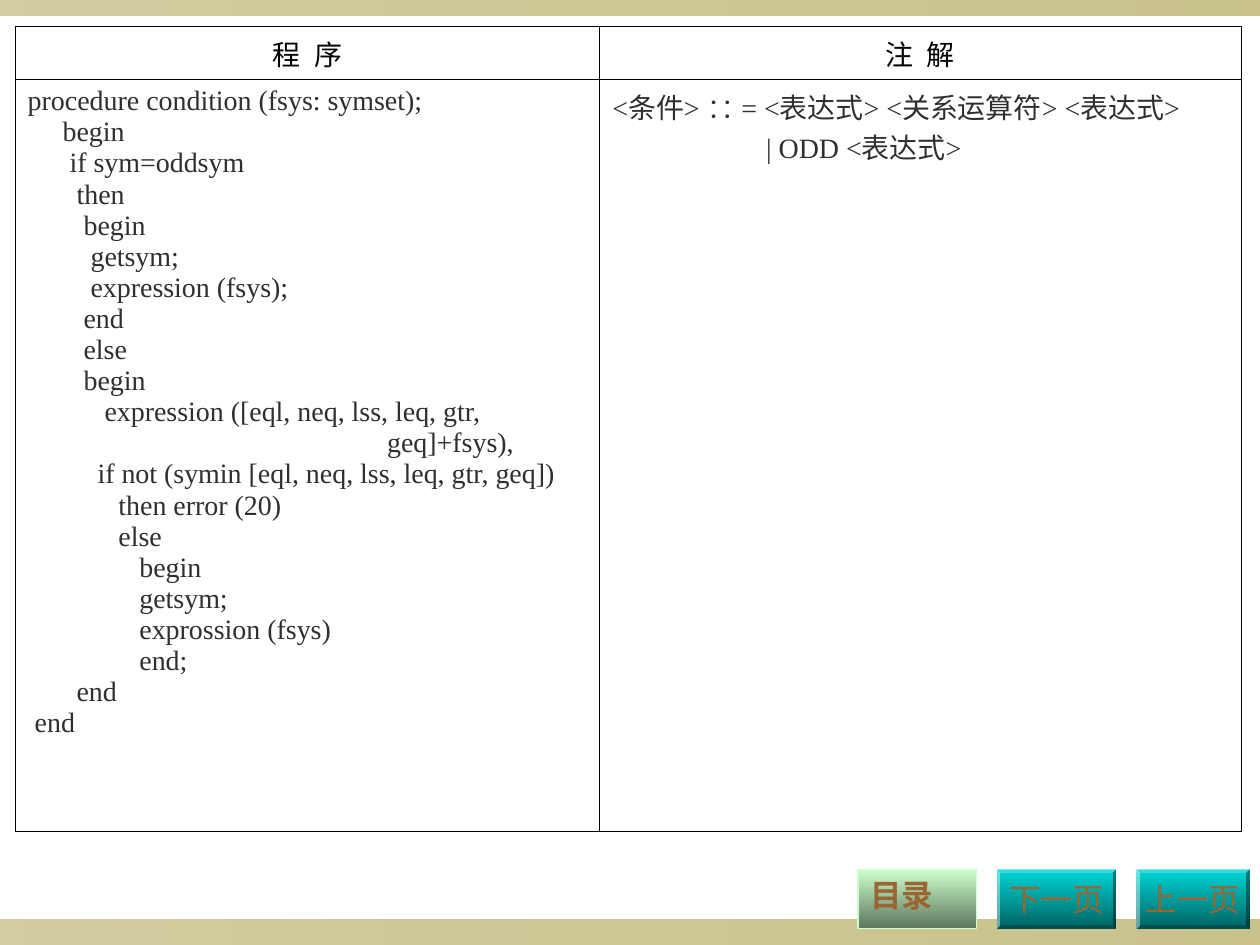
from typing import NamedTuple

from lxml import etree
from pptx import Presentation
from pptx.dml.color import RGBColor
from pptx.enum.shapes import MSO_SHAPE
from pptx.enum.text import MSO_ANCHOR, PP_ALIGN
from pptx.oxml.ns import qn
from pptx.util import Inches, Pt

RECT, BEVEL = MSO_SHAPE.RECTANGLE, MSO_SHAPE.BEVEL
LEFT, CENTER = PP_ALIGN.LEFT, PP_ALIGN.CENTER
TOP, MIDDLE = MSO_ANCHOR.TOP, MSO_ANCHOR.MIDDLE

WIDTH, HEIGHT = 10, 7.5
BLACK, INK, BROWN = "000000", "2F2F2F", "996633"
OLIVE, MINT, MOSS = "918415", "CCFFCC", "5E765E"
TEAL = ("00D5D5", "006363")
BUTTON_TOP, BUTTON_HEIGHT = 0.92 * HEIGHT, 0.47
TABLE_LEFT, TABLE_TOP = 0.12, 0.21
COLUMNS, ROWS = (4.64, 5.09), (0.38, 5.97)
CODE_WRAP = "                                         geq]+fsys),"

CODE = f"""\
procedure condition (fsys: symset);
     begin
      if sym=oddsym
       then
        begin
         getsym;
         expression (fsys);
        end
        else
        begin
           expression ([eql, neq, lss, leq, gtr,
{CODE_WRAP}
          if not (symin [eql, neq, lss, leq, gtr, geq])
             then error (20)
             else
                begin
                getsym;
                exprossion (fsys)
                end;
       end
 end""".split("\n")


class Button(NamedTuple):
    text: str
    left: float
    width: float
    shape: MSO_SHAPE
    colors: tuple[str, str]
    line: str | None = None
    bold: bool = False
    align: PP_ALIGN = CENTER
    anchor: MSO_ANCHOR = MIDDLE


BUTTONS = [
    Button("下一页", 7.91, 0.95, BEVEL, TEAL),
    Button("上一页", 9.02, 0.9, BEVEL, TEAL),
    Button("目录", 6.81, 0.94, RECT, (MINT, MOSS), MINT, True, LEFT, TOP),
]


def rgb(color: str) -> RGBColor:
    return RGBColor.from_string(color)


def write(p, text: str, *, size=16, font="Times New Roman", color=INK,
          bold=False, align=LEFT, indent=0.0, tracking=0.0) -> None:
    """Put one run in a paragraph; indent is in inches, tracking in points."""
    p.alignment = align
    if indent:
        pPr = p._p.get_or_add_pPr()
        pPr.set("marL", str(Inches(indent)))
        pPr.set("indent", "0")
    r = p.add_run()
    r.text = text
    r.font.size, r.font.name, r.font.bold = Pt(size), font, bold
    r.font.color.rgb = rgb(color)
    if tracking:
        r._r.get_or_add_rPr().set("spc", str(int(tracking * 100)))


def add_gradient_shape(s, kind, left, top, width, height, colors, *,
                       angle=270, opacities=(), line=None):
    sp = s.shapes.add_shape(kind, *map(Inches, (left, top, width, height)))
    sp.shadow.inherit = False
    sp.fill.gradient()
    sp.fill.gradient_angle = angle
    for stop, color in zip(sp.fill.gradient_stops, colors):
        stop.color.rgb = rgb(color)
    stops = sp._element.spPr.find(qn("a:gradFill")).iter(qn("a:srgbClr"))
    for clr, opacity in zip(stops, opacities):
        etree.SubElement(clr, qn("a:alpha")).set("val", str(opacity * 1000))
    if line:
        sp.line.color.rgb = rgb(line)
        sp.line.width = Pt(0.75)
    else:
        sp.line.fill.background()
    return sp


def add_bar(s, top: float, height: float) -> None:
    add_gradient_shape(s, RECT, 0, top, WIDTH, height, (OLIVE, OLIVE),
                       angle=0, opacities=(40, 50))


def add_button(s, b: Button) -> None:
    sp = add_gradient_shape(s, b.shape, b.left, BUTTON_TOP, b.width,
                            BUTTON_HEIGHT, b.colors, line=b.line)
    if b.shape == BEVEL:
        sp.adjustments[0] = 0.06
    tf = sp.text_frame
    tf.word_wrap = False
    tf.vertical_anchor = b.anchor
    write(tf.paragraphs[0], b.text, size=18, font="Arial", color=BROWN,
          bold=b.bold, align=b.align)


def format_cell(cell) -> None:
    """Give a cell thin black borders and no fill."""
    tcPr = cell._tc.get_or_add_tcPr()
    for side in ("lnL", "lnR", "lnT", "lnB"):
        ln = etree.SubElement(tcPr, qn(f"a:{side}"), w=str(Pt(0.45)))
        fill = etree.SubElement(ln, qn("a:solidFill"))
        etree.SubElement(fill, qn("a:srgbClr"), val=BLACK)
    cell.fill.background()


def add_program_table(s) -> None:
    table = s.shapes.add_table(
        len(ROWS), len(COLUMNS), Inches(TABLE_LEFT), Inches(TABLE_TOP),
        Inches(sum(COLUMNS)), Inches(sum(ROWS))).table
    table.first_row = table.horz_banding = False
    for column, width in zip(table.columns, COLUMNS):
        column.width = Inches(width)
    for row, height in zip(table.rows, ROWS):
        row.height = Inches(height)
    for cell in table.iter_cells():
        format_cell(cell)

    for i, title in enumerate(("程 序", "注 解")):
        write(table.cell(0, i).text_frame.paragraphs[0], title, color=BLACK,
              align=CENTER, tracking=2)

    tf = table.cell(1, 0).text_frame
    for i, line in enumerate(CODE):
        p = tf.add_paragraph() if i else tf.paragraphs[0]
        write(p, line, align=CENTER if line == CODE_WRAP else LEFT)

    tf = table.cell(1, 1).text_frame
    write(tf.paragraphs[0], "<条件> ∷ = <表达式> <关系运算符> <表达式>")
    write(tf.add_paragraph(), "| ODD <表达式>", indent=1.22)


def main() -> None:
    prs = Presentation()
    prs.slide_width, prs.slide_height = Inches(WIDTH), Inches(HEIGHT)
    s = prs.slides.add_slide(prs.slide_layouts[6])
    add_bar(s, 7.3, 0.2)
    add_bar(s, 0, 0.12)
    for button in BUTTONS:
        add_button(s, button)
    add_program_table(s)
    prs.save("out.pptx")


if __name__ == "__main__":
    main()
